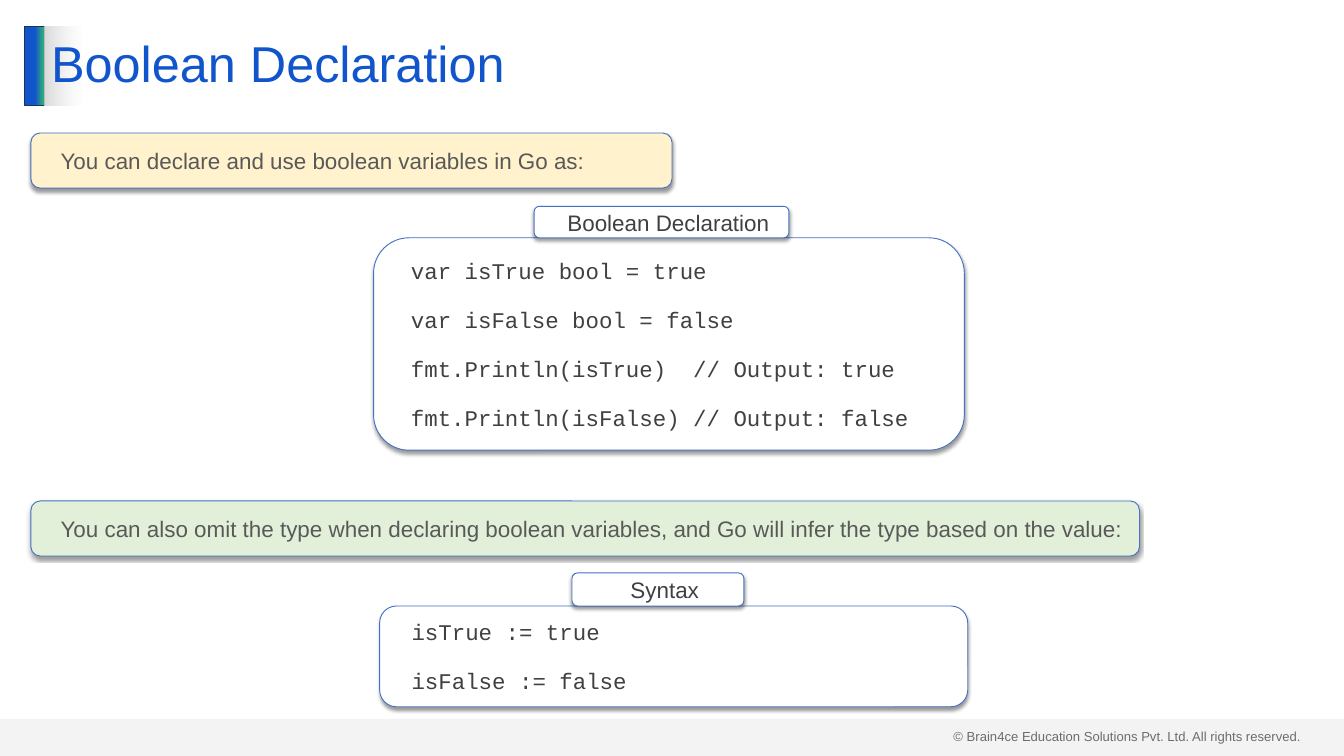
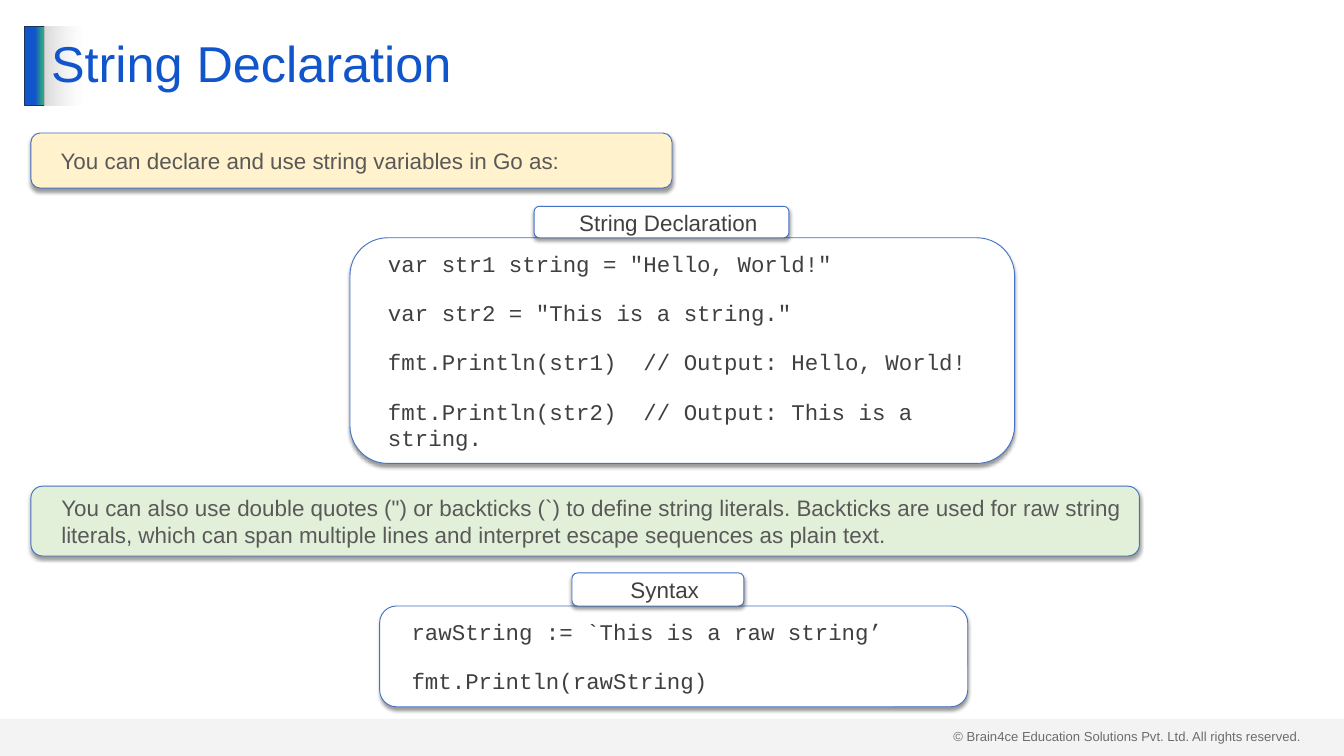
from dataclasses import dataclass
from typing import NamedTuple

from lxml.etree import SubElement
from pptx import Presentation
from pptx.dml.color import RGBColor
from pptx.enum.shapes import MSO_SHAPE
from pptx.enum.text import MSO_ANCHOR, PP_ALIGN
from pptx.oxml.ns import qn
from pptx.util import Cm, Pt


@dataclass(frozen=True)
class Theme:
    title: str = "1155CC"
    accent: str = "2EA87D"
    bar_line: str = "1E3256"
    outline: str = "4472C4"
    grey: str = "D9D9D9"
    white: str = "FFFFFF"
    dark: str = "404040"
    prose: str = "595959"
    shadow: str = "000000"
    yellow: str = "FFF2CC"
    green: str = "E2F0D9"
    font: str = "Arial"
    code_font: str = "Courier New"
    title_size: int = 54
    body_size: int = 24
    footer_size: int = 14


THEME = Theme()
COPYRIGHT = "© Brain4ce Education Solutions Pvt. Ltd. All rights reserved."


class Box(NamedTuple):
    """Left, top, width and height in centimetres."""
    left: float
    top: float
    width: float
    height: float

    def lengths(self):
        return [Cm(value) for value in self]


SLIDE = Box(0, 0, 50.8, 28.58)
BAR = Box(0.94, 0.99, 0.76, 3)
TITLE = Box(1.68, 0.99, 47.42, 3)
BAND = Box(0, 27.18, 50.8, 1.4)
FOOTER = Box(35.79, 27.43, 13.74, 0.86)
INTRO = Box(1.17, 5.03, 24.23, 2.08)
NOTE_WIDTH, NOTE_BOTTOM = 41.9, 21.02
CODE_TOP = 8.99
SYNTAX = Box(14.35, 22.91, 22.23, 3.81)


def add_color(parent, color, alpha=100):
    element = SubElement(parent, qn("a:srgbClr"), val=color)
    if alpha < 100:
        SubElement(element, qn("a:alpha"), val=str(alpha * 1000))


def set_gradient(shape, stops):
    """Fill from left to right with (position, colour, alpha) stops."""
    shape.fill.gradient()
    shape.fill.gradient_angle = 0
    stop_list = shape._element.spPr.find(".//" + qn("a:gsLst"))
    for stop in list(stop_list):
        stop_list.remove(stop)
    for position, color, alpha in stops:
        stop = SubElement(stop_list, qn("a:gs"), pos=str(position * 1000))
        add_color(stop, color, alpha)


def set_shadow(shape):
    effects = shape._element.spPr.find(qn("a:effectLst"))
    shadow = SubElement(effects, qn("a:outerShdw"), blurRad=str(Pt(4)), dist=str(Pt(3)),
                        dir="5400000", algn="t", rotWithShape="0")
    add_color(shadow, THEME.shadow, 40)


def add_box(slide, box, fill=None, outline=None, kind=MSO_SHAPE.RECTANGLE):
    shape = slide.shapes.add_shape(kind, *box.lengths())
    shape.shadow.inherit = False
    if fill:
        shape.fill.solid()
        shape.fill.fore_color.rgb = RGBColor.from_string(fill)
    if outline:
        shape.line.color.rgb = RGBColor.from_string(outline)
        shape.line.width = Pt(1)
    else:
        shape.line.fill.background()
    return shape


def write_text(shape, lines, *, size=THEME.body_size, color=THEME.dark, font=THEME.font,
               align=PP_ALIGN.LEFT, anchor=MSO_ANCHOR.MIDDLE, indent=0, gap=0, line_spacing=None):
    frame = shape.text_frame
    frame.word_wrap = True
    frame.vertical_anchor = anchor
    for index, line in enumerate(lines):
        paragraph = frame.add_paragraph() if index else frame.paragraphs[0]
        if indent:
            paragraph.level = 1
            properties = paragraph._p.get_or_add_pPr()
            properties.set("marL", str(Cm(indent)))
            properties.set("indent", "0")
        paragraph.alignment = align
        paragraph.line_spacing = line_spacing
        paragraph.space_before = Pt(gap if index else 0)
        run = paragraph.add_run()
        run.text = line
        run.font.size = Pt(size)
        run.font.name = font
        run.font.color.rgb = RGBColor.from_string(color)


def add_card(slide, box, lines, fill=THEME.white, **text_format):
    """Add a rounded, shadowed box with text."""
    card = add_box(slide, box, fill, THEME.outline, MSO_SHAPE.ROUNDED_RECTANGLE)
    set_shadow(card)
    frame = card.text_frame
    frame.margin_left = frame.margin_right = Cm(0.51)
    frame.margin_top = frame.margin_bottom = Cm(0.25)
    write_text(card, lines, indent=0.51, gap=24, **text_format)


def add_code_panel(slide, box, lines, heading, tab_left, tab_width, tab_height):
    """Add a code card with a heading tab standing on its top edge."""
    add_card(slide, box, lines, font=THEME.code_font)
    tab = Box(tab_left, box.top - tab_height, tab_width, tab_height)
    add_card(slide, tab, [heading], align=PP_ALIGN.CENTER)


def add_frame(slide, title):
    """Add the footer, accent bar and title that every slide shares."""
    footer = slide.shapes.add_textbox(*FOOTER.lengths())
    write_text(footer, [COPYRIGHT], size=THEME.footer_size, anchor=MSO_ANCHOR.TOP)

    bar = add_box(slide, BAR, outline=THEME.bar_line)
    set_gradient(bar, [(51, THEME.title, 100), (90, THEME.accent, 100), (100, THEME.accent, 100)])

    band = add_box(slide, BAND, THEME.grey)
    band_color = band._element.spPr.find(qn("a:solidFill"))[0]
    SubElement(band_color, qn("a:alpha"), val="29000")

    heading = add_box(slide, TITLE)
    set_gradient(heading, [(0, THEME.grey, 100), (3, THEME.white, 50)])
    write_text(heading, [title], size=THEME.title_size, color=THEME.title, line_spacing=0.9)


def add_declaration_slide(presentation, title, intro, code_box, code, note, note_height, syntax):
    slide = presentation.slides.add_slide(presentation.slide_layouts[6])
    add_frame(slide, title)
    add_card(slide, INTRO, [intro], THEME.yellow, color=THEME.prose)
    add_code_panel(slide, code_box, code, title, 20.19, 9.63, 1.19)
    note_box = Box(INTRO.left, NOTE_BOTTOM - note_height, NOTE_WIDTH, note_height)
    add_card(slide, note_box, [note], THEME.green, color=THEME.prose)
    add_code_panel(slide, SYNTAX, syntax, "Syntax", 21.62, 6.5, 1.25)


def main():
    presentation = Presentation()
    presentation.slide_width = Cm(SLIDE.width)
    presentation.slide_height = Cm(SLIDE.height)

    add_declaration_slide(
        presentation,
        title="Boolean Declaration",
        intro="You can declare and use boolean variables in Go as:",
        code_box=Box(14.12, CODE_TOP, 22.33, 8.03),
        code=[
            "var isTrue bool = true",
            "var isFalse bool = false",
            "fmt.Println(isTrue)  // Output: true",
            "fmt.Println(isFalse) // Output: false",
        ],
        note="You can also omit the type when declaring boolean variables, "
             "and Go will infer the type based on the value:",
        note_height=2.08,
        syntax=["isTrue := true", "isFalse := false"],
    )
    add_declaration_slide(
        presentation,
        title="String Declaration",
        intro="You can declare and use string variables in Go as:",
        code_box=Box(13.23, CODE_TOP, 25.12, 8.53),
        code=[
            'var str1 string = "Hello, World!"',
            'var str2 = "This is a string."',
            "fmt.Println(str1)  // Output: Hello, World!",
            "fmt.Println(str2)  // Output: This is a string.",
        ],
        note='You can also use double quotes (") or backticks (`) to define string literals. '
             "Backticks are used for raw string literals, which can span multiple lines "
             "and interpret escape sequences as plain text.",
        note_height=2.64,
        syntax=["rawString := `This is a raw string’", "fmt.Println(rawString)"],
    )
    presentation.save("out.pptx")


if __name__ == "__main__":
    main()
